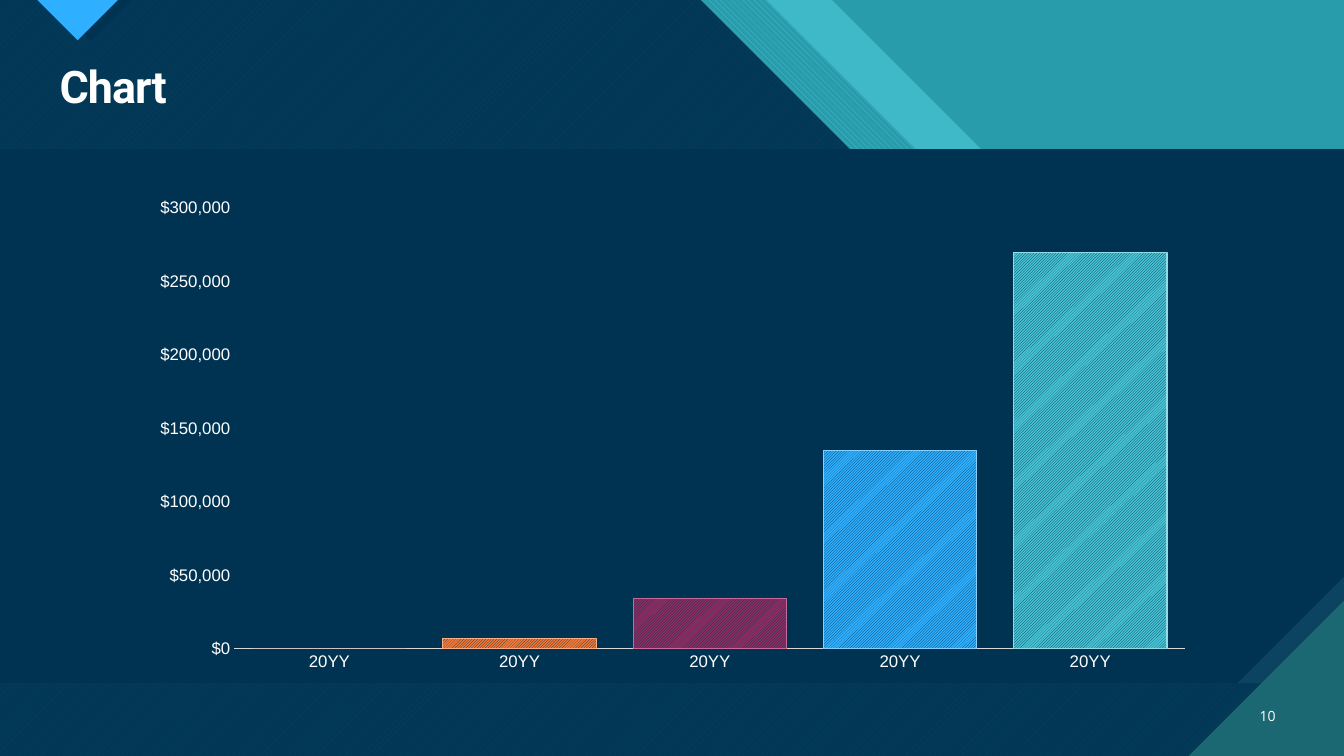
from lxml import etree
from pptx import Presentation
from pptx.chart.data import CategoryChartData
from pptx.dml.color import RGBColor
from pptx.enum.chart import XL_CHART_TYPE as ChartType, XL_TICK_MARK as Tick
from pptx.enum.dml import MSO_PATTERN as Pattern
from pptx.enum.shapes import MSO_SHAPE as Shape
from pptx.enum.text import MSO_ANCHOR as Anchor, PP_ALIGN as Align
from pptx.oxml import parse_xml
from pptx.oxml.ns import nsdecls, qn
from pptx.util import Inches, Pt

W, H = 13.33, 7.5
BAND_TOP, BAND_BOTTOM = 1.48, 6.78
NAVY, TEAL, AQUA, PINE = "003352", "299CAB", "47C3D3", "1B6872"
BLUE, WHITE = "2FAFFF", "FFFFFF"
VALUES = (0, 7000, 34000, 135000, 270000)
# fill and outline of each bar after the empty first one
BARS = (("F47735", "F8AD86"), ("8F2D63", "C66A9C"),
        (BLUE, "82CFFF"), (AQUA, "91DBE5"))


def rgb(value):
    return RGBColor.from_string(value)


def paint(fill, color, back=None, pattern=None, alpha=None):
    if pattern:
        fill.patterned()
        fill.pattern = pattern
        fill.fore_color.rgb, fill.back_color.rgb = rgb(color), rgb(back)
    else:
        fill.solid()
        fill.fore_color.rgb = rgb(color)
    return alpha


def finish(s, color, alpha=None, **kw):
    """Fill a shape and take away its line and shadow."""
    paint(s.fill, color, **kw)
    if alpha:
        clr = s._element.spPr.find(".//" + qn("a:srgbClr"))
        etree.SubElement(clr, qn("a:alpha")).set("val", str(alpha * 1000))
    s.line.fill.background()
    s.shadow.inherit = False
    return s


def polygon(slide, points, color, **kw):
    pts = [(Inches(x), Inches(y)) for x, y in points]
    builder = slide.shapes.build_freeform(*pts[0])
    builder.add_line_segments(pts[1:])
    return finish(builder.convert_to_shape(), color, **kw)


def block(slide, kind, top, height, color):
    s = slide.shapes.add_shape(kind, 0, Inches(top), Inches(W), Inches(height))
    return finish(s, color)


def place(s, left, top, width, height):
    s.left, s.top = Inches(left), Inches(top)
    s.width, s.height = Inches(width), Inches(height)


def style(font, size, color, name, bold=False):
    font.size, font.name, font.bold = Pt(size), name, bold
    font.color.rgb = rgb(color)


def write(s, text, size, name, align=Align.LEFT, bold=False, spacing=0):
    tf = s.text_frame
    tf.word_wrap, tf.vertical_anchor = True, Anchor.MIDDLE
    p = tf.paragraphs[0]
    p.alignment, p.line_spacing = align, 0.9
    r = p.add_run()
    r.text = text
    style(r.font, size, WHITE, name, bold)
    if spacing:
        r._r.get_or_add_rPr().set("spc", str(int(spacing * 100)))


def add_background(slide):
    block(slide, Shape.RECTANGLE, 0, H, TEAL)
    # diagonal layers, each ending further left than the one below
    layers = ((8.25, dict(color=AQUA, alpha=74)),
              (7.6, dict(color=AQUA, back=TEAL, pattern=Pattern.WIDE_DOWNWARD_DIAGONAL)),
              (6.95, dict(color=AQUA, back=PINE, pattern=Pattern.WIDE_UPWARD_DIAGONAL)),
              (6.95, dict(color=NAVY, alpha=90)))
    for x, look in layers:
        polygon(slide, [(0, 0), (x, 0), (x + 3, 3), (W, 3), (W, H), (0, H)], **look)
    # small triangle at the top with its shade
    for x, half, color in ((0.9, 0.41, NAVY), (0.77, 0.4, BLUE)):
        polygon(slide, [(x - half, 0), (x + half, 0), (x, half)], color)
    # chart panel with a cut corner, over a lighter panel
    height = BAND_BOTTOM - BAND_TOP
    block(slide, Shape.RECTANGLE, BAND_TOP, height, "0C4360")
    cut = 0.2 * height
    polygon(slide, [(0, BAND_TOP), (W, BAND_TOP), (W, BAND_BOTTOM - cut),
                    (W - cut, BAND_BOTTOM), (0, BAND_BOTTOM)], NAVY)
    corner = 1.54
    polygon(slide, [(W - corner, H), (W, H), (W, H - corner)], PINE)


def set_plot_area(chart, **shares):
    """Fix the inner plot area, in shares of the chart's size."""
    parts = "".join(f'<c:{k} val="{v}"/>' for k, v in shares.items())
    layout = parse_xml(
        f'<c:layout {nsdecls("c")}><c:manualLayout><c:layoutTarget val="inner"/>'
        f'<c:xMode val="edge"/><c:yMode val="edge"/>{parts}'
        '</c:manualLayout></c:layout>')
    area = chart._chartSpace.chart.plotArea
    for old in area.findall(qn("c:layout")):
        area.remove(old)
    area.insert(0, layout)


def style_axis(axis):
    axis.major_tick_mark = axis.minor_tick_mark = Tick.NONE
    axis.has_major_gridlines = False
    style(axis.tick_labels.font, 12, WHITE, "Arial")


def add_column_chart(slide):
    data = CategoryChartData()
    data.categories = ["20YY"] * len(VALUES)
    data.add_series("Series 1", VALUES)
    chart = slide.shapes.add_chart(
        ChartType.COLUMN_CLUSTERED, Inches(1.37), Inches(1.87),
        Inches(10.6), Inches(4.86), data).chart
    chart.has_legend = chart.has_title = False
    style(chart.font, 10, "000000", "Arial")
    set_plot_area(chart, x=0.09, y=0.04, w=0.89, h=0.9)
    # axes
    cats, vals = chart.category_axis, chart.value_axis
    for axis in (cats, vals):
        style_axis(axis)
    cats.format.line.color.rgb, cats.format.line.width = rgb("D9D9D9"), Pt(0.75)
    vals.format.line.fill.background()
    vals.minimum_scale, vals.maximum_scale, vals.major_unit = 0, 300000, 50000
    vals.tick_labels.number_format = "[$$-409]#,##0"
    vals.tick_labels.number_format_is_linked = False
    # hatched bars
    plot = chart.plots[0]
    plot.gap_width, plot.vary_by_categories = 24, False
    series = plot.series[0]
    paint(series.format.fill, "8F2D63")
    for i, (color, edge) in enumerate(BARS, 1):
        look = series.points[i].format
        paint(look.fill, NAVY, back=color, pattern=Pattern.LIGHT_UPWARD_DIAGONAL)
        look.line.color.rgb, look.line.width = rgb(edge), Pt(0.75)


def main():
    prs = Presentation()
    prs.slide_width, prs.slide_height = Inches(W), Inches(H)
    slide = prs.slides.add_slide(prs.slide_layouts[5])
    add_background(slide)
    # title, brought in front of the background
    title = slide.shapes.title
    slide.shapes._spTree.append(title._element)
    place(title, 0.49, 0.59, 12.26, 0.59)
    write(title, "Chart", 32, "Roboto", bold=True, spacing=-0.7)
    add_column_chart(slide)
    # page number
    number = slide.shapes.add_textbox(0, 0, 0, 0)
    place(number, 12.31, 6.91, 0.44, 0.4)
    write(number, "10", 10, "Open Sans", align=Align.RIGHT)
    prs.save("out.pptx")


main()
